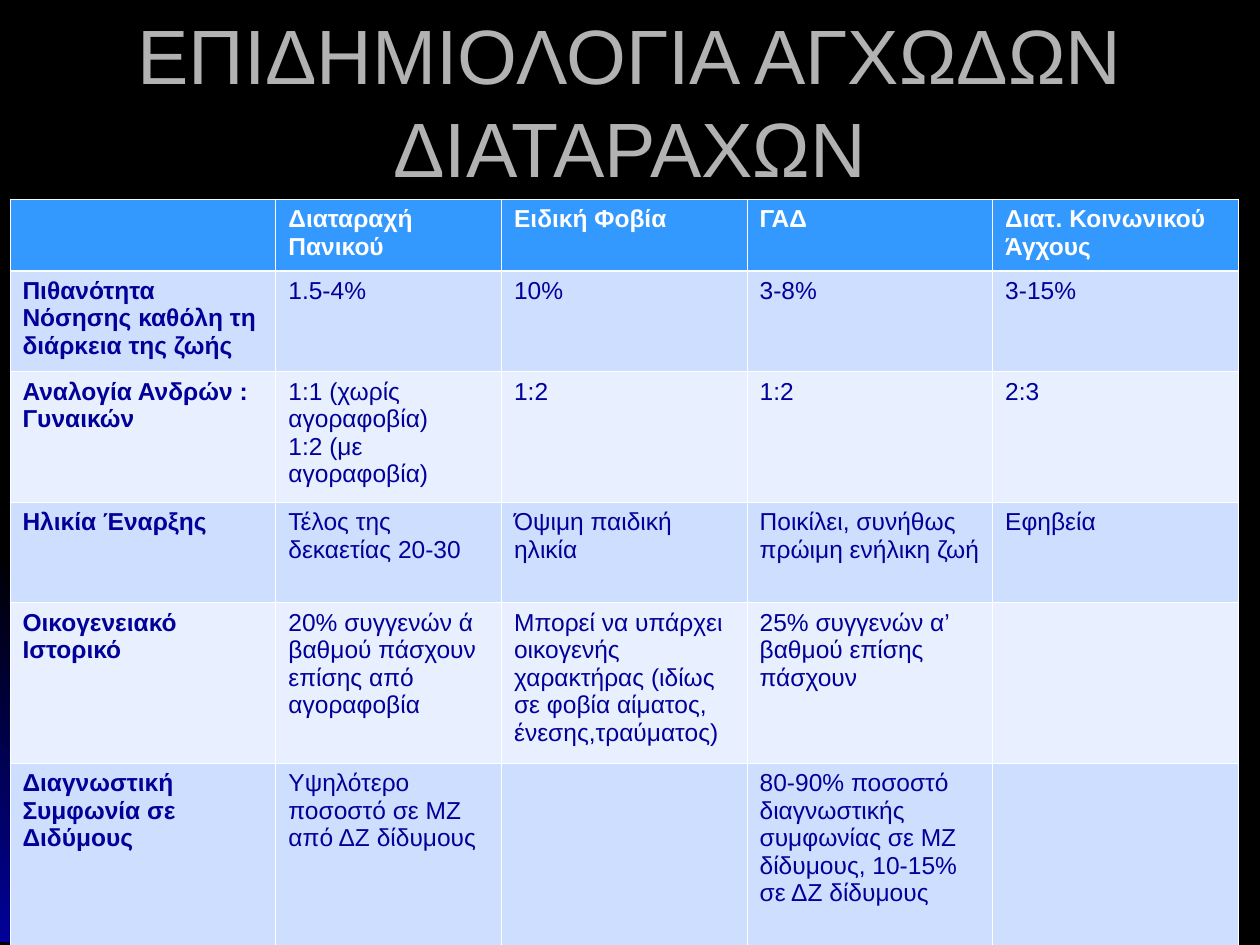
"""Build the slide on the epidemiology of anxiety disorders."""
from dataclasses import dataclass

from pptx import Presentation
from pptx.dml.color import RGBColor
from pptx.enum.text import MSO_ANCHOR, PP_ALIGN
from pptx.oxml import parse_xml
from pptx.oxml.ns import nsdecls, qn
from pptx.slide import Slide
from pptx.table import _Cell
from pptx.text.text import TextFrame
from pptx.util import Cm, Pt

COLORS = {
    "black": "000000",
    "navy": "010199",
    "title": "B2B2B2",
    "header": "3399FF",
    "band_dark": "CDDEFF",
    "band_light": "E8EFFF",
    "white": "FFFFFF",
}
THIN, THICK = 0.45, 1.47
COLUMN_WIDTHS = [5.36, 4.55, 4.95, 4.95, 4.95]


@dataclass(frozen=True)
class Outline:
    points: list[tuple[float, float]]
    stops: tuple[str, str, str]
    angle: int


@dataclass(frozen=True)
class Row:
    height: float
    texts: list[str]


ARC_STOPS = ("black", "navy", "black")
OUTLINES = [
    Outline([(0, 11.13), (1.42, 11.4), (3.43, 12.14), (5.28, 13.28), (6.88, 14.71),
             (8.2, 16.48), (8.89, 17.73), (9.4, 19.03), (9.45, 19.03), (8.94, 17.73),
             (8.26, 16.46), (6.91, 14.68), (5.31, 13.23), (3.45, 12.12), (1.45, 11.35),
             (0, 11.05)], ARC_STOPS, 45),
    Outline([(0, 10.85), (0, 19.03), (8.18, 19.03)], ("navy", "black", "navy"), 315),
    Outline([(0, 12.12), (1.96, 12.88), (3.81, 14), (5.41, 15.44), (6.73, 17.2),
             (7.65, 19.03), (7.7, 19.03), (6.76, 17.17), (5.46, 15.39), (3.86, 13.94),
             (2.01, 12.83), (0, 12.07)], ARC_STOPS, 45),
    Outline([(0, 11.28), (1.88, 12.07), (3.61, 13.16), (5.13, 14.61), (6.4, 16.28),
             (7.11, 17.63), (7.65, 19.03), (7.7, 19.03), (7.16, 17.6), (6.45, 16.23),
             (5.18, 14.55), (3.66, 13.11), (1.93, 12.01), (0, 11.23)], ARC_STOPS, 45),
]

ROWS = [
    Row(1.45, ["", "Διαταραχή Πανικού", "Ειδική Φοβία", "ΓΑΔ", "Διατ. Κοινωνικού Άγχους"]),
    Row(2.03, ["Πιθανότητα Νόσησης καθόλη τη διάρκεια της ζωής",
               "1.5-4%", "10%", "3-8%", "3-15%"]),
    Row(2.62, ["Αναλογία Ανδρών : Γυναικών",
               "1:1 (χωρίς αγοραφοβία)\n1:2 (με αγοραφοβία)", "1:2", "1:2", "2:3"]),
    Row(2.03, ["Ηλικία Έναρξης", "Τέλος της δεκαετίας 20-30", "Όψιμη παιδική ηλικία",
               "Ποικίλει, συνήθως πρώιμη ενήλικη ζωή", "Εφηβεία"]),
    Row(3.23, ["Οικογενειακό Ιστορικό",
               "20% συγγενών ά βαθμού πάσχουν επίσης από αγοραφοβία",
               "Μπορεί να υπάρχει οικογενής χαρακτήρας (ιδίως σε φοβία αίματος, "
               "ένεσης,τραύματος)",
               "25% συγγενών α’ βαθμού επίσης πάσχουν", ""]),
    Row(3.81, ["Διαγνωστική Συμφωνία σε Διδύμους",
               "Υψηλότερο ποσοστό σε ΜΖ από ΔΖ δίδυμους", "",
               "80-90% ποσοστό διαγνωστικής συμφωνίας σε ΜΖ δίδυμους, "
               "10-15% σε ΔΖ δίδυμους", ""]),
]


def color(name: str) -> RGBColor:
    """Look up a named colour."""
    return RGBColor.from_string(COLORS[name])


def write_text(frame: TextFrame, text: str, *, size: float, tint: str,
               bold: bool = False, align: PP_ALIGN = PP_ALIGN.LEFT) -> None:
    """Write one paragraph per line of text in a single format."""
    frame.word_wrap = True
    frame.text = text
    for para in frame.paragraphs:
        para.alignment = align
        para.font.size = Pt(size)
        for span in para.runs:
            span.font.name = "Arial"
            span.font.size = Pt(size)
            span.font.bold = bold
            span.font.color.rgb = color(tint)


def draw_outline(page: Slide, outline: Outline) -> None:
    """Draw a closed outline with a three-stop gradient."""
    start, *others = outline.points
    builder = page.shapes.build_freeform(*start, scale=Cm(1))
    builder.add_line_segments(others, close=True)
    shape = builder.convert_to_shape()
    shape.shadow.inherit = False
    shape.line.fill.background()
    shape.fill.background()
    stops = "".join(
        f'<a:gs pos="{index * 50000}"><a:srgbClr val="{COLORS[name]}"/></a:gs>'
        for index, name in enumerate(outline.stops))
    gradient = parse_xml(
        f'<a:gradFill {nsdecls("a")} rotWithShape="1"><a:gsLst>{stops}</a:gsLst>'
        f'<a:lin ang="{outline.angle * 60000}" scaled="0"/></a:gradFill>')
    properties = shape._element.spPr
    properties.replace(properties.find(qn("a:noFill")), gradient)


def draw_borders(cell: _Cell, top: float, bottom: float) -> None:
    """Give a cell white borders with the given top and bottom widths."""
    properties = cell._tc.get_or_add_tcPr()
    for side, width in {"L": THIN, "R": THIN, "T": top, "B": bottom}.items():
        properties.append(parse_xml(
            f'<a:ln{side} {nsdecls("a")} w="{Pt(width)}"><a:solidFill>'
            f'<a:srgbClr val="{COLORS["white"]}"/></a:solidFill></a:ln{side}>'))


def draw_table(page: Slide, rows: list[Row]) -> None:
    """Draw the table of disorders."""
    table = page.shapes.add_table(
        len(rows), len(COLUMN_WIDTHS), Cm(0.2), Cm(4.01),
        Cm(sum(COLUMN_WIDTHS)), Cm(sum(row.height for row in rows))).table
    for column, width in zip(table.columns, COLUMN_WIDTHS):
        column.width = Cm(width)
    for row_index, row in enumerate(rows):
        table.rows[row_index].height = Cm(row.height)
        header = row_index == 0
        fill = "header" if header else "band_dark" if row_index % 2 else "band_light"
        for column_index, text in enumerate(row.texts):
            cell = table.cell(row_index, column_index)
            draw_borders(cell, THICK if row_index == 1 else THIN, THICK if header else THIN)
            cell.fill.solid()
            cell.fill.fore_color.rgb = color(fill)
            write_text(cell.text_frame, text, size=14, tint="white" if header else "navy",
                       bold=header or column_index == 0)


def main() -> None:
    """Build and save the deck."""
    deck = Presentation()
    deck.slide_width, deck.slide_height = Cm(25.4), Cm(19.05)
    page = deck.slides.add_slide(deck.slide_layouts[6])
    page.background.fill.solid()
    page.background.fill.fore_color.rgb = color("black")
    for outline in OUTLINES:
        draw_outline(page, outline)
    box = page.shapes.add_textbox(Cm(1.27), Cm(0.43), Cm(22.86), Cm(3.18))
    box.text_frame.vertical_anchor = MSO_ANCHOR.MIDDLE
    write_text(box.text_frame, "ΕΠΙΔΗΜΙΟΛΟΓΙΑ ΑΓΧΩΔΩΝ ΔΙΑΤΑΡΑΧΩΝ",
               size=44, tint="title", align=PP_ALIGN.CENTER)
    draw_table(page, ROWS)
    deck.save("out.pptx")


if __name__ == "__main__":
    main()
